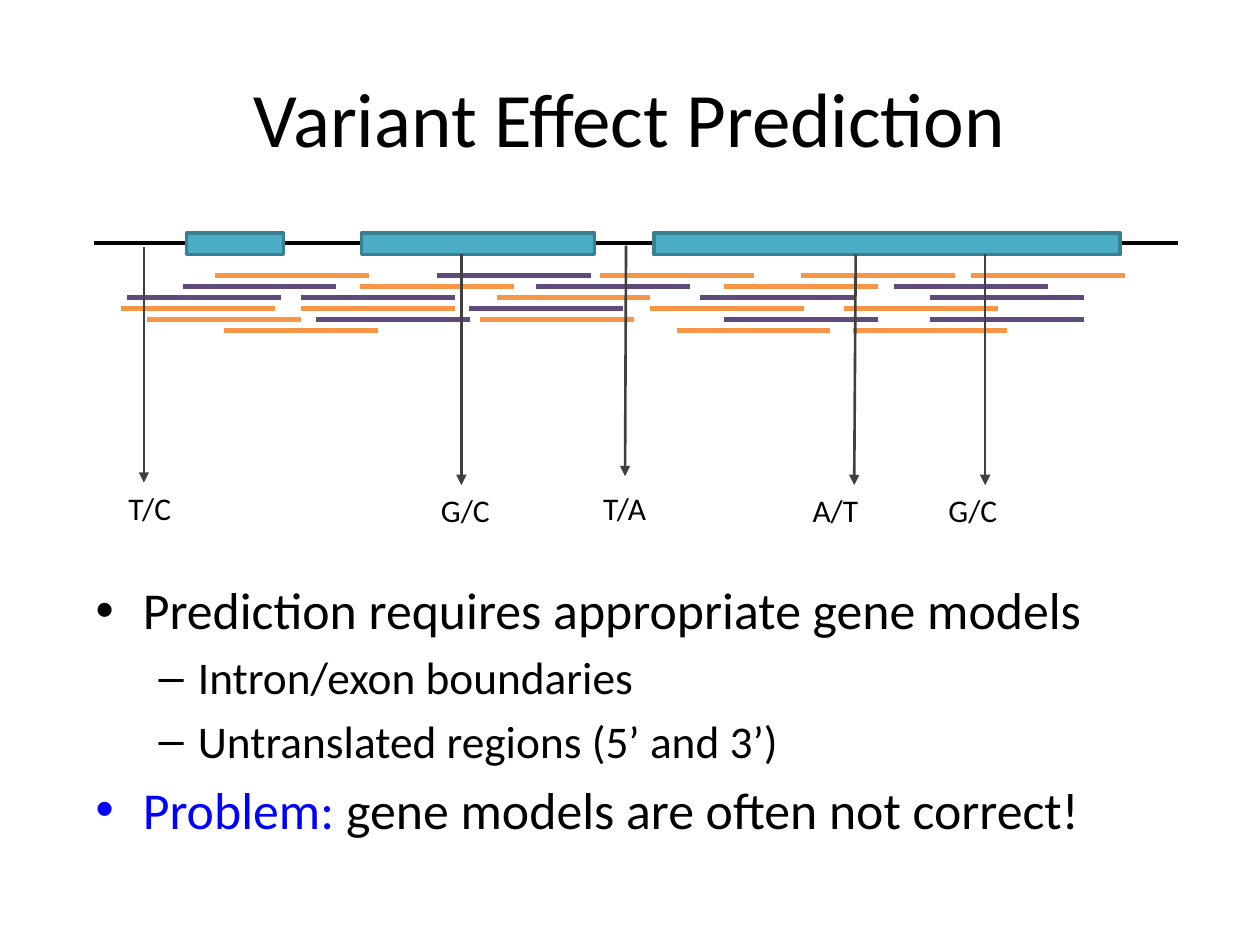
"""Build a slide on variant effect prediction with reads aligned to a gene model."""
import pptx
import pptx.dml.color
import pptx.enum.shapes
import pptx.enum.text
import pptx.oxml
import pptx.oxml.ns
import pptx.util
from pptx.util import Cm

COLORS = {
    "black": "000000", "exon": "4BACC6", "exon_edge": "377F92",
    "purple": "604A7B", "orange": "F79646", "arrow": "404040", "blue": "0000FF",
}


def add_line(start_x, start_y, end_x, end_y, color, width, arrow=False):
    line = slide.shapes.add_connector(
        pptx.enum.shapes.MSO_CONNECTOR.STRAIGHT,
        Cm(start_x), Cm(start_y), Cm(end_x), Cm(end_y))
    line.line.color.rgb = pptx.dml.color.RGBColor.from_string(COLORS[color])
    line.line.width = pptx.util.Pt(width)
    if arrow:
        tail = pptx.oxml.parse_xml(
            f'<a:tailEnd {pptx.oxml.ns.nsdecls("a")} type="triangle"/>')
        line.line._get_or_add_ln().append(tail)
    properties = line._element.spPr
    properties.append(pptx.oxml.parse_xml(
        f'<a:effectLst {pptx.oxml.ns.nsdecls("a")}/>'))


def format_run(run, size, color="black"):
    run.font.name = "Calibri"
    run.font.size = pptx.util.Pt(size)
    run.font.color.rgb = pptx.dml.color.RGBColor.from_string(COLORS[color])


presentation = pptx.Presentation()
presentation.slide_width = Cm(25.4)
presentation.slide_height = Cm(19.05)
slide = presentation.slides.add_slide(presentation.slide_layouts[6])

add_line(1.9, 4.9, 23.75, 4.9, "black", 2.25)
for left, width in [(3.76, 1.96), (7.29, 4.7), (13.18, 9.4)]:
    exon = slide.shapes.add_shape(
        pptx.enum.shapes.MSO_SHAPE.RECTANGLE, Cm(left), Cm(4.7), Cm(width), Cm(0.43))
    exon.shadow.inherit = False
    exon.fill.solid()
    exon.fill.fore_color.rgb = pptx.dml.color.RGBColor.from_string(COLORS["exon"])
    exon.line.color.rgb = pptx.dml.color.RGBColor.from_string(COLORS["exon_edge"])
    exon.line.width = pptx.util.Pt(2)

read_length = 3.1
read_rows = [
    {"purple": [8.81], "orange": [4.34, 12.1, 16.15, 19.58]},
    {"purple": [3.68, 10.8, 18.03], "orange": [7.26, 14.6]},
    {"purple": [2.57, 6.07, 14.12, 18.75], "orange": [10.01]},
    {"purple": [9.45], "orange": [2.44, 6.07, 13.11, 17.02]},
    {"purple": [6.38, 14.6, 18.75], "orange": [2.97, 9.68]},
    {"purple": [], "orange": [4.52, 13.64, 17.2]},
]
for row, reads in enumerate(read_rows):
    read_y = 5.56 + 0.22 * row
    for color, starts in reads.items():
        for start in starts:
            add_line(start, read_y, start + read_length, read_y, color, 3)

variants = [
    ("T/C", 2.9, 4.98, 2.9, 9.73, 2.34, 9.73),
    ("G/C", 9.3, 5.13, 9.3, 9.78, 8.64, 9.78),
    ("T/A", 12.62, 4.95, 12.6, 9.6, 11.91, 9.73),
    ("A/T", 17.25, 5.13, 17.22, 9.78, 16.13, 9.78),
    ("G/C", 19.86, 5.13, 19.86, 9.78, 18.87, 9.78),
]
for name, start_x, start_y, end_x, end_y, left, top in variants:
    add_line(start_x, start_y, end_x, end_y, "arrow", 1.5, arrow=True)
    label = slide.shapes.add_textbox(Cm(left), Cm(top), Cm(2.9), Cm(1))
    label.text_frame.word_wrap = True
    label.text_frame.text = name
    format_run(label.text_frame.paragraphs[0].runs[0], 18)

title = slide.shapes.add_textbox(Cm(1.27), Cm(0.76), Cm(22.86), Cm(3.18))
title.text_frame.word_wrap = True
title.text_frame.vertical_anchor = pptx.enum.text.MSO_ANCHOR.MIDDLE
title.text_frame.text = "Variant Effect Prediction"
title.text_frame.paragraphs[0].alignment = pptx.enum.text.PP_ALIGN.CENTER
format_run(title.text_frame.paragraphs[0].runs[0], 44)

body = slide.shapes.add_textbox(Cm(1.68), Cm(11.53), Cm(22.86), Cm(5.49))
body.text_frame.word_wrap = True
levels = [("•", 0.95, -0.95, 29.6), ("–", 2.06, -0.79, 25.9)]
points = [
    (0, [("Prediction requires appropriate gene models", "black")]),
    (1, [("Intron/exon boundaries", "black")]),
    (1, [("Untranslated regions (5’ and 3’)", "black")]),
    (0, [("Problem:", "blue"), (" gene models are often not correct!", "black")]),
]
for index, (level, parts) in enumerate(points):
    bullet, margin, indent, size = levels[level]
    paragraph = body.text_frame.paragraphs[0] if index == 0 else body.text_frame.add_paragraph()
    paragraph.level = level
    paragraph.space_before = pptx.util.Pt(round(size * 0.2, 1))
    properties = paragraph._p.get_or_add_pPr()
    properties.set("marL", str(Cm(margin)))
    properties.set("indent", str(Cm(indent)))
    for tag, attribute, value in [("buFont", "typeface", "Arial"), ("buChar", "char", bullet)]:
        properties.append(pptx.oxml.parse_xml(
            f'<a:{tag} {pptx.oxml.ns.nsdecls("a")} {attribute}="{value}"/>'))
    for text, color in parts:
        run = paragraph.add_run()
        run.text = text
        format_run(run, size, color)

presentation.save("out.pptx")
